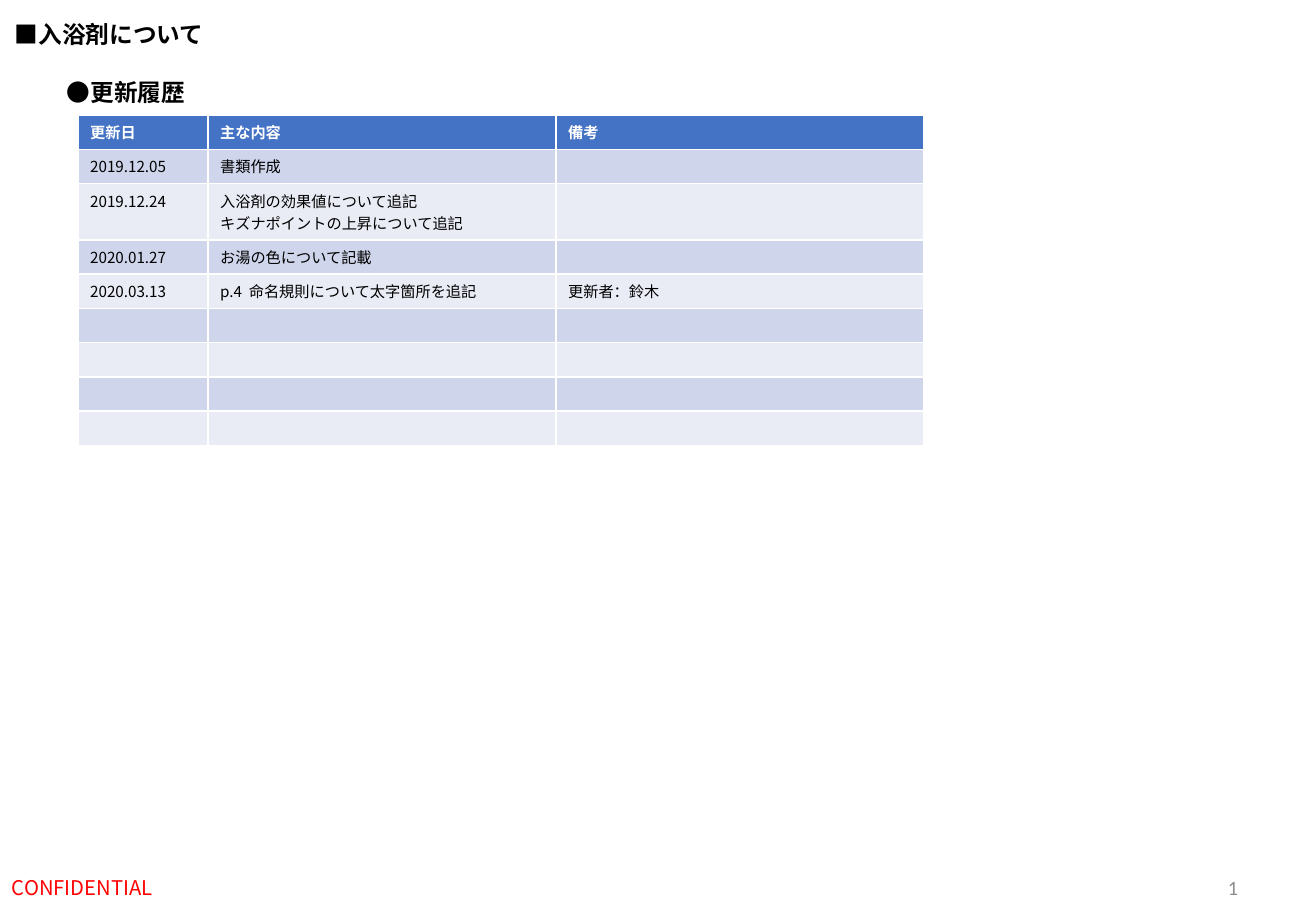
from lxml import etree
from pptx import Presentation
from pptx import util as u
from pptx.dml.color import RGBColor
from pptx.enum import text
from pptx.oxml.ns import qn

PX = 914400 / 121.5
CJK = "Noto Sans CJK JP"
BLACK = RGBColor(0x00, 0x00, 0x00)
WHITE = RGBColor(0xFF, 0xFF, 0xFF)
RED = RGBColor(0xFF, 0x00, 0x00)
GRAY = RGBColor(0x8C, 0x8C, 0x8C)
HEADER = RGBColor(0x44, 0x72, 0xC4)
BANDS = RGBColor(0xCF, 0xD5, 0xEA), RGBColor(0xE9, 0xEB, 0xF5)


def px(length):
    return u.Emu(round(length * PX))


def style(para, size, color, bold=False, name=CJK):
    """Set the paragraph font, for Latin and East Asian text alike."""
    font = para.font
    font.size, font.bold, font.name = u.Pt(size), bold, name
    font.color.rgb = color
    defaults = para._p.pPr.find(qn("a:defRPr"))
    etree.SubElement(defaults, qn("a:ea")).set("typeface", name)
    if not para.runs:
        end = etree.SubElement(para._p, qn("a:endParaRPr"))
        end.set("sz", str(size * 100))


deck = Presentation()
deck.slide_width, deck.slide_height = px(1316), px(911)
page = deck.slides.add_slide(deck.slide_layouts[6])

# Revision history
history = [
    ("更新日", "主な内容", "備考"),
    ("2019.12.05", "書類作成", ""),
    ("2019.12.24", "入浴剤の効果値について追記\nキズナポイントの上昇について追記", ""),
    ("2020.01.27", "お湯の色について記載", ""),
    ("2020.03.13", "p.4  命名規則について太字箇所を追記", "更新者：鈴木"),
] + [("", "", "")] * 4
widths = [130, 348, 368]
heights = [34, 34, 56] + [34] * 6
table = page.shapes.add_table(
    len(history), len(widths), px(78), px(115), px(sum(widths)), px(sum(heights))
).table
for column, width in zip(table.columns, widths):
    column.width = px(width)
for index, (row, height, entries) in enumerate(zip(table.rows, heights, history)):
    row.height = px(height)
    is_header = index == 0
    for cell, entry in zip(row.cells, entries):
        cell.fill.solid()
        cell.fill.fore_color.rgb = HEADER if is_header else BANDS[(index - 1) % 2]
        cell.text = entry
        for para in cell.text_frame.paragraphs:
            style(para, 9, WHITE if is_header else BLACK, bold=is_header)

# Headings
for wording, left, top, width in [("■入浴剤について", 3, 14, 215), ("●更新履歴", 55, 72, 143)]:
    frame = page.shapes.add_textbox(px(left), px(top), px(width), px(41)).text_frame
    frame.word_wrap = False
    frame.auto_size = text.MSO_AUTO_SIZE.SHAPE_TO_FIT_TEXT
    frame.text = wording
    style(frame.paragraphs[0], 14, BLACK, bold=True)

# Footer
for wording, left, width, align, color, name in [
    ("CONFIDENTIAL", 0, 411, text.PP_ALIGN.LEFT, RED, CJK),
    ("1", 977, 273, text.PP_ALIGN.RIGHT, GRAY, "Calibri"),
]:
    frame = page.shapes.add_textbox(px(left), px(863), px(width), px(48)).text_frame
    frame.word_wrap = True
    frame.vertical_anchor = text.MSO_ANCHOR.MIDDLE
    frame.text = wording
    frame.paragraphs[0].alignment = align
    style(frame.paragraphs[0], 12, color, name=name)

deck.save("out.pptx")
